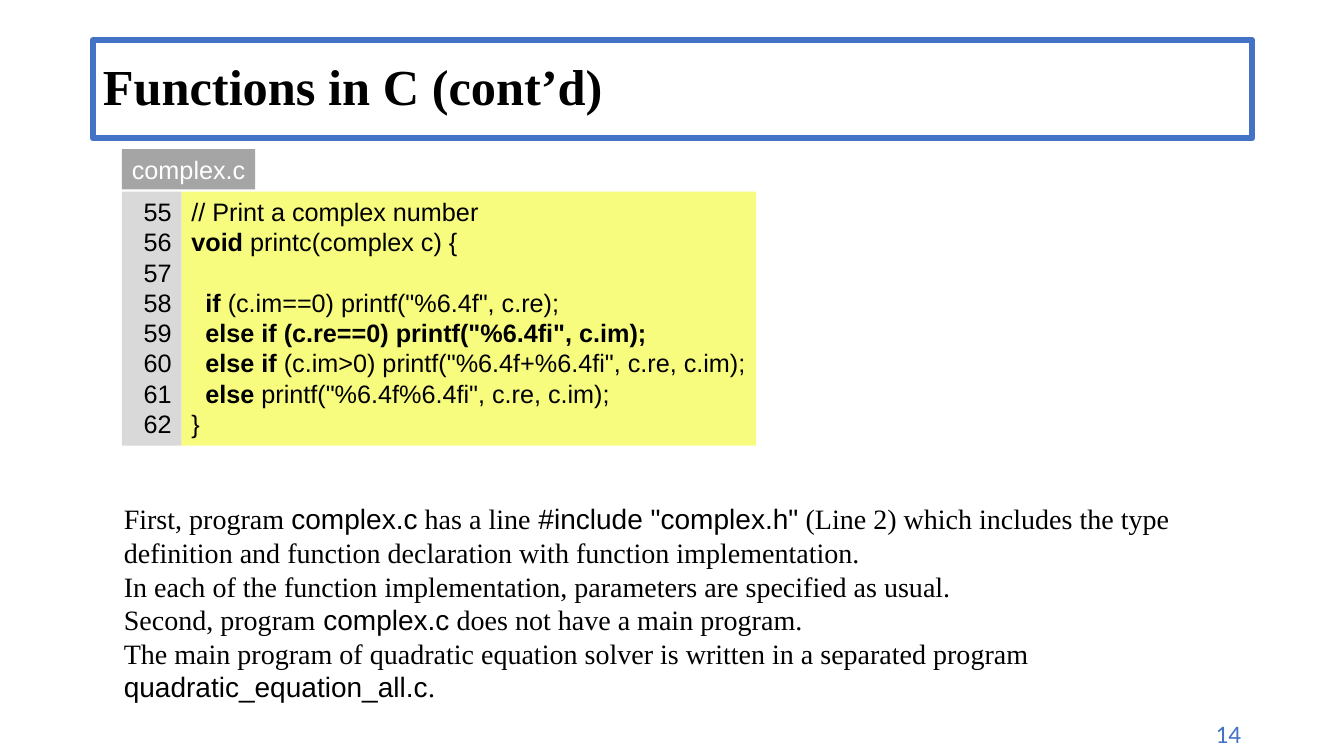
from dataclasses import dataclass

from pptx import Presentation
from pptx.dml.color import RGBColor
from pptx.enum.shapes import MSO_SHAPE
from pptx.enum.text import MSO_ANCHOR, MSO_AUTO_SIZE, PP_ALIGN
from pptx.util import Inches, Pt

RECT = MSO_SHAPE.RECTANGLE
TOP, MIDDLE = MSO_ANCHOR.TOP, MSO_ANCHOR.MIDDLE
LEFT, RIGHT = PP_ALIGN.LEFT, PP_ALIGN.RIGHT
NO_FIT = MSO_AUTO_SIZE.NONE
SERIF, SANS = "Times New Roman", "Arial"
BLACK, WHITE, BLUE = "000000", "FFFFFF", "4472C4"


@dataclass(frozen=True)
class Span:
    text: str
    bold: bool | None = None
    font: str | None = None


@dataclass(frozen=True)
class Style:
    font: str
    size: int
    color: str = BLACK
    align: PP_ALIGN = LEFT


@dataclass(frozen=True)
class Panel:
    left: float
    top: float
    width: float
    height: float
    fill: str
    style: Style
    lines: list[list[Span]]
    wrap: bool = False


def rgb(value: str) -> RGBColor:
    return RGBColor.from_string(value)


def keyword(word: str, rest: str, indent: str = "  ") -> list[Span]:
    return [Span(indent), Span(word, bold=True), Span(rest)]


def write(tf, lines: list[list[Span]], style: Style, wrap: bool = True) -> None:
    tf.word_wrap = wrap
    tf.auto_size = NO_FIT
    tf.vertical_anchor = TOP
    for i, spans in enumerate(lines):
        p = tf.add_paragraph() if i else tf.paragraphs[0]
        p.alignment = style.align
        p.font.name = style.font
        p.font.size = Pt(style.size)
        p.font.color.rgb = rgb(style.color)
        for span in spans:
            if not span.text:
                continue
            r = p.add_run()
            r.text = span.text
            if span.bold:
                r.font.bold = True
            if span.font:
                r.font.name = span.font


def add_panel(shapes, panel: Panel) -> None:
    sp = shapes.add_shape(RECT, Inches(panel.left), Inches(panel.top),
                          Inches(panel.width), Inches(panel.height))
    sp.shadow.inherit = False
    sp.fill.solid()
    sp.fill.fore_color.rgb = rgb(panel.fill)
    sp.line.fill.background()
    write(sp.text_frame, panel.lines, panel.style, panel.wrap)


def add_text(s, left: float, top: float, width: float, height: float,
             lines: list[list[Span]], style: Style) -> None:
    sp = s.shapes.add_textbox(Inches(left), Inches(top), Inches(width), Inches(height))
    write(sp.text_frame, lines, style)


def add_title(s, text: str) -> None:
    sp = s.shapes.title
    sp.left, sp.top = Inches(0.92), Inches(0.4)
    sp.width, sp.height = Inches(11.5), Inches(0.97)
    sp.line.color.rgb = rgb(BLUE)
    sp.line.width = Pt(4.5)
    tf = sp.text_frame
    write(tf, [[Span(text, bold=True)]], Style(SERIF, 36))
    tf.vertical_anchor = MIDDLE
    tf.paragraphs[0].line_spacing = 0.9


CODE = [
    [Span("// Print a complex number")],
    keyword("void ", "printc(complex c) {", indent=""),
    [],
    keyword("if ", "(c.im==0) printf(\"%6.4f\", c.re);"),
    keyword("else if (c.re==0) printf(\"%6.4fi\", c.im);", ""),
    keyword("else if ", "(c.im>0) printf(\"%6.4f+%6.4fi\", c.re, c.im);"),
    keyword("else ", "printf(\"%6.4f%6.4fi\", c.re, c.im);"),
    [Span("}")],
]
FIRST_LINE = 55
NUMBERS = [[Span(str(FIRST_LINE + i))] for i in range(len(CODE))]

LISTING = [
    Panel(1.21, 1.48, 1.32, 0.4, "A5A5A5", Style(SANS, 18, WHITE), [[Span("complex.c")]]),
    Panel(1.8, 1.9, 5.7, 2.52, "F7FC7E", Style(SANS, 18), CODE),
    Panel(1.21, 1.9, 0.59, 2.52, "D9D9D9", Style(SANS, 18, align=RIGHT), NUMBERS, wrap=True),
]

NOTES = [
    [Span("First, program "), Span("complex.c", font=SANS), Span(" has a line"),
     Span(" #include \"complex.h\"", font=SANS),
     Span(" (Line 2) which includes the type definition and function declaration "
          "with function implementation.")],
    [Span("In each of the function implementation, parameters are specified as usual.")],
    [Span("Second, program"), Span(" complex.c", font=SANS),
     Span(" does not have a main program.")],
    [Span("The main program of quadratic equation solver is written in a separated program "),
     Span("quadratic_equation_all.c", font=SANS), Span(".")],
]


def main() -> None:
    prs = Presentation()
    prs.slide_width, prs.slide_height = Inches(13.33), Inches(7.5)
    s = prs.slides.add_slide(prs.slide_layouts[5])
    add_title(s, "Functions in C (cont’d)")
    group = s.shapes.add_group_shape()
    for panel in LISTING:
        add_panel(group.shapes, panel)
    add_text(s, 1.13, 4.93, 10.83, 2.12, NOTES, Style(SERIF, 20))
    add_text(s, 10.84, 7.08, 1.57, 0.4, [[Span("14")]], Style("Calibri", 18, BLUE, RIGHT))
    prs.save("out.pptx")


if __name__ == "__main__":
    main()
